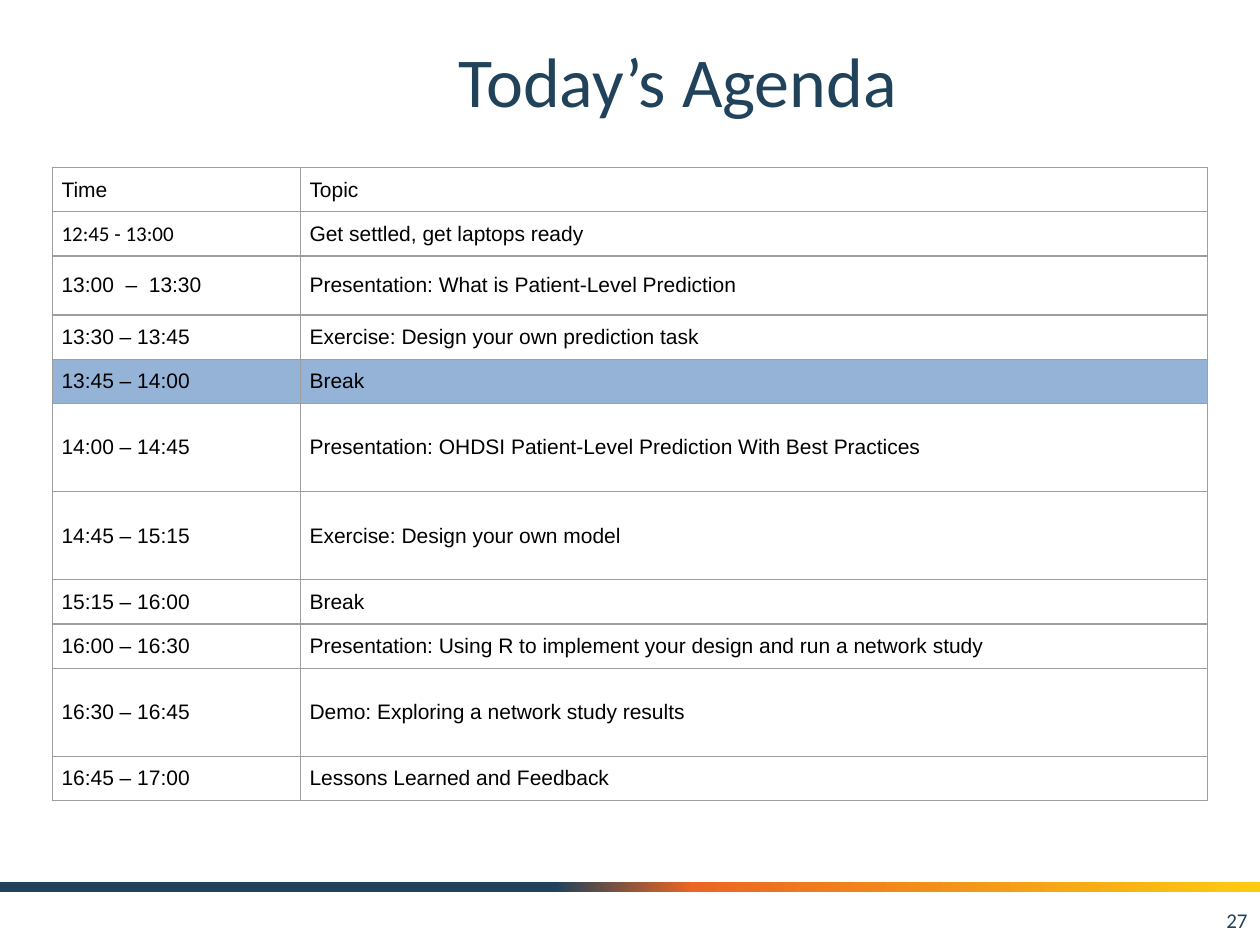
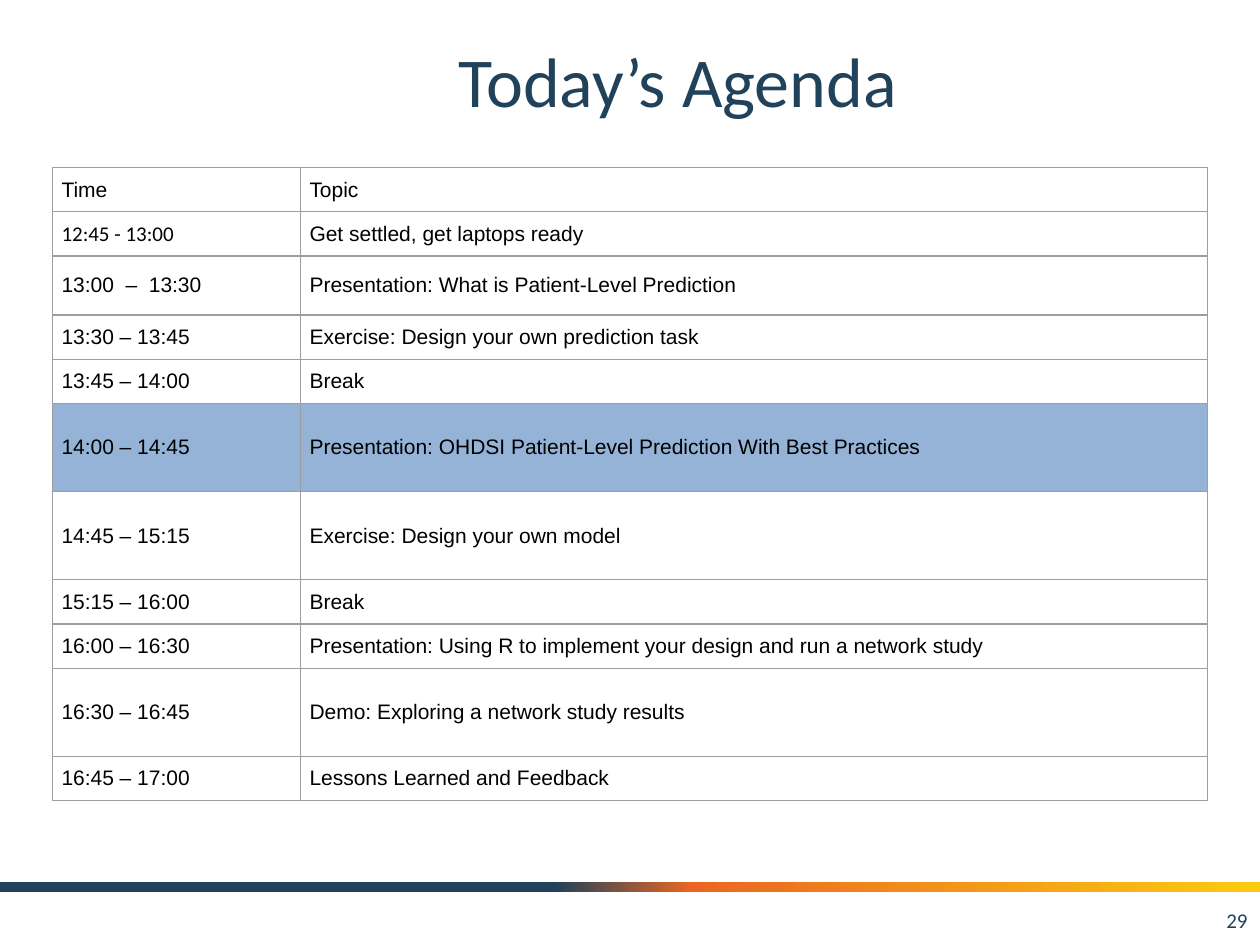
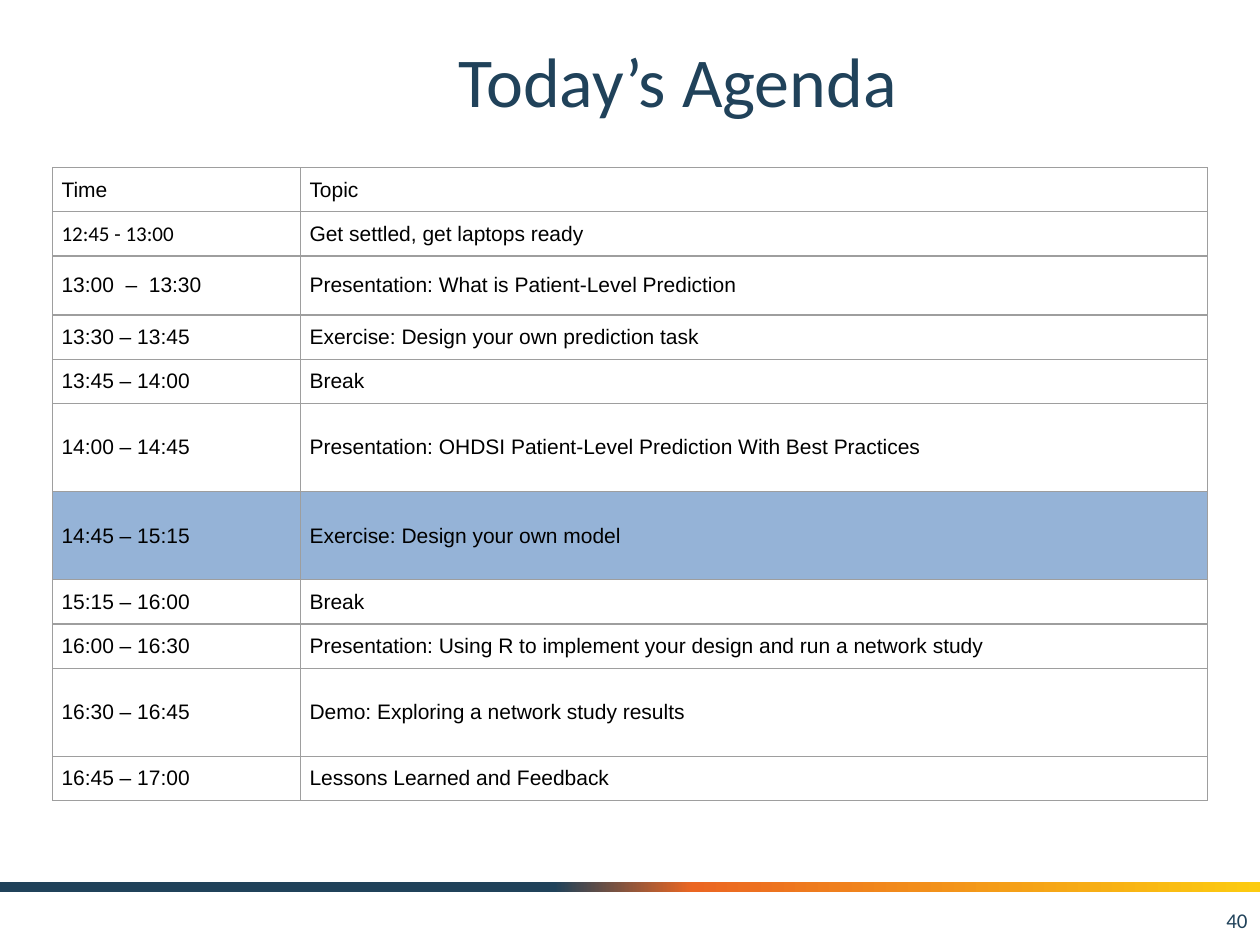
"""Builds three agenda slides, each with the current session highlighted."""
from dataclasses import dataclass

from lxml.etree import SubElement
from pptx import Presentation
from pptx.dml.color import RGBColor
from pptx.enum.shapes import MSO_SHAPE
from pptx.enum.text import MSO_ANCHOR, MSO_AUTO_SIZE, PP_ALIGN
from pptx.oxml.ns import qn
from pptx.util import Cm, Pt

TITLE = "Today’s Agenda"
SHORT, MEDIUM, TALL = 0.89, 1.19, 1.78
AGENDA = [
    ("Time", "Topic", SHORT),
    ("12:45 - 13:00", "Get settled, get laptops ready", SHORT),
    ("13:00  –  13:30", "Presentation: What is Patient-Level Prediction", MEDIUM),
    ("13:30 – 13:45", "Exercise: Design your own prediction task", SHORT),
    ("13:45 – 14:00", "Break", SHORT),
    ("14:00 – 14:45", "Presentation: OHDSI Patient-Level Prediction With Best Practices", TALL),
    ("14:45 – 15:15", "Exercise: Design your own model", TALL),
    ("15:15 – 16:00", "Break", SHORT),
    ("16:00 – 16:30", "Presentation: Using R to implement your design and run a network study", SHORT),
    ("16:30 – 16:45", "Demo: Exploring a network study results", TALL),
    ("16:45 – 17:00", "Lessons Learned and Feedback", SHORT),
]
CALIBRI_TIMES = {"12:45 - 13:00"}
SLIDES = [("27", "13:45 – 14:00"), ("29", "14:00 – 14:45"), ("40", "14:45 – 15:15")]
COLUMNS = (5.0, 18.29)


@dataclass(frozen=True)
class Theme:
    """Colours, fonts and sizes shared by the slides."""
    navy: str = "20425A"
    orange: str = "EB6622"
    yellow: str = "FCCB10"
    highlight: str = "95B3D7"
    grid: str = "9E9E9E"
    text: str = "000000"
    head_font: str = "Calibri"
    body_font: str = "Arial"
    title_size: int = 40
    text_size: int = 12
    grid_width: float = 0.75


THEME = Theme()
BAND_STOPS = [(0, THEME.navy), (44, THEME.navy), (55, THEME.orange), (100, THEME.yellow)]


def add_run(p, text, size, font, color):
    """Add one formatted run to a paragraph."""
    r = p.add_run()
    r.text = text
    r.font.size = Pt(size)
    r.font.name = font
    r.font.color.rgb = RGBColor.from_string(color)


def set_frame(tf, side, top):
    """Centre a text frame vertically and set its margins."""
    tf.word_wrap = True
    tf.auto_size = MSO_AUTO_SIZE.NONE
    tf.vertical_anchor = MSO_ANCHOR.MIDDLE
    tf.margin_left = tf.margin_right = Cm(side)
    tf.margin_top = tf.margin_bottom = Cm(top)


def add_band(slide, width):
    """Draw the gradient band above the footer."""
    s = slide.shapes.add_shape(MSO_SHAPE.RECTANGLE, 0, Cm(17.78), width, Cm(0.2))
    s.shadow.inherit = False
    s.line.fill.background()
    s.fill.gradient()
    s.fill.gradient_angle = 0
    stops = next(s._element.iter(qn("a:gsLst")))
    for stop in list(stops):
        stops.remove(stop)
    for pos, color in BAND_STOPS:
        stop = SubElement(stops, qn("a:gs"), pos=str(pos * 1000))
        SubElement(stop, qn("a:srgbClr"), val=color)


def add_title(slide):
    """Place and format the slide title."""
    s = slide.shapes.title
    s.left, s.top, s.width, s.height = Cm(3.18), Cm(0.43), Cm(20.96), Cm(2.34)
    set_frame(s.text_frame, 0.25, 0.25)
    p = s.text_frame.paragraphs[0]
    p.alignment = PP_ALIGN.CENTER
    add_run(p, TITLE, THEME.title_size, THEME.head_font, THEME.navy)


def add_page_number(slide, number):
    """Write the page number at the bottom right."""
    s = slide.shapes.add_textbox(Cm(19.48), Cm(18.03), Cm(5.92), Cm(1.02))
    set_frame(s.text_frame, 0.25, 0.13)
    p = s.text_frame.paragraphs[0]
    p.alignment = PP_ALIGN.RIGHT
    add_run(p, number, THEME.text_size, THEME.head_font, THEME.navy)


def format_cell(cell, text, font, highlighted):
    """Fill, border and write one table cell."""
    cell.vertical_anchor = MSO_ANCHOR.MIDDLE
    cell.margin_left = cell.margin_right = Cm(0.18)
    cell.margin_top = cell.margin_bottom = 0
    tc_pr = cell._tc.get_or_add_tcPr()
    for side in ("lnL", "lnR", "lnT", "lnB"):
        ln = SubElement(tc_pr, qn(f"a:{side}"), w=str(Pt(THEME.grid_width)))
        SubElement(SubElement(ln, qn("a:solidFill")), qn("a:srgbClr"), val=THEME.grid)
    if highlighted:
        cell.fill.solid()
        cell.fill.fore_color.rgb = RGBColor.from_string(THEME.highlight)
    else:
        cell.fill.background()
    add_run(cell.text_frame.paragraphs[0], text, THEME.text_size, font, THEME.text)


def add_agenda(slide, current):
    """Add the agenda table with the current time slot highlighted."""
    height = sum(row[2] for row in AGENDA)
    table = slide.shapes.add_table(len(AGENDA), len(COLUMNS), Cm(1.06), Cm(3.38),
                                   Cm(sum(COLUMNS)), Cm(height)).table
    table.first_row = table.horz_banding = False
    for column, width in zip(table.columns, COLUMNS):
        column.width = Cm(width)
    for row, (time, topic, row_height) in zip(table.rows, AGENDA):
        row.height = Cm(row_height)
        time_font = THEME.head_font if time in CALIBRI_TIMES else THEME.body_font
        format_cell(row.cells[0], time, time_font, time == current)
        format_cell(row.cells[1], topic, THEME.body_font, time == current)


def main():
    """Build and save the presentation."""
    prs = Presentation()
    prs.slide_width, prs.slide_height = Cm(25.4), Cm(19.05)
    for number, current in SLIDES:
        slide = prs.slides.add_slide(prs.slide_layouts[5])
        add_band(slide, prs.slide_width)
        add_title(slide)
        add_page_number(slide, number)
        add_agenda(slide, current)
    prs.save("out.pptx")


if __name__ == "__main__":
    main()
